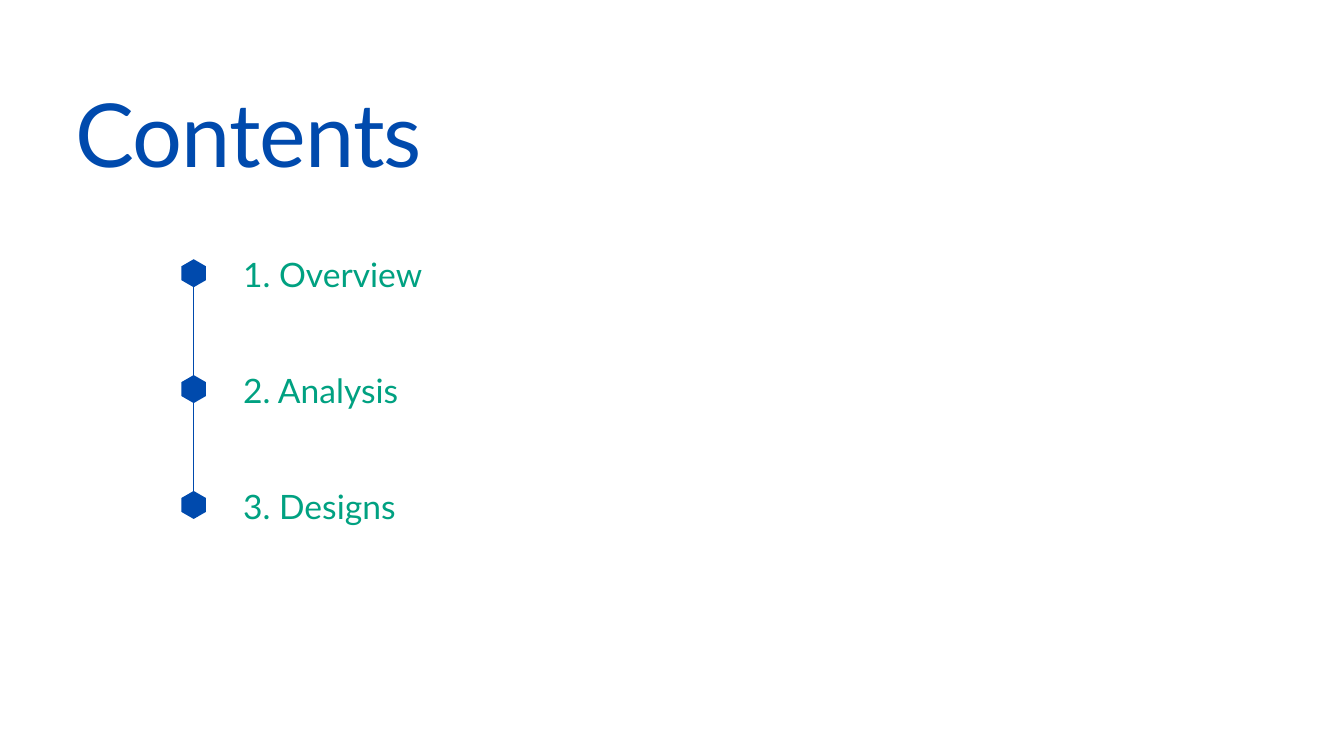
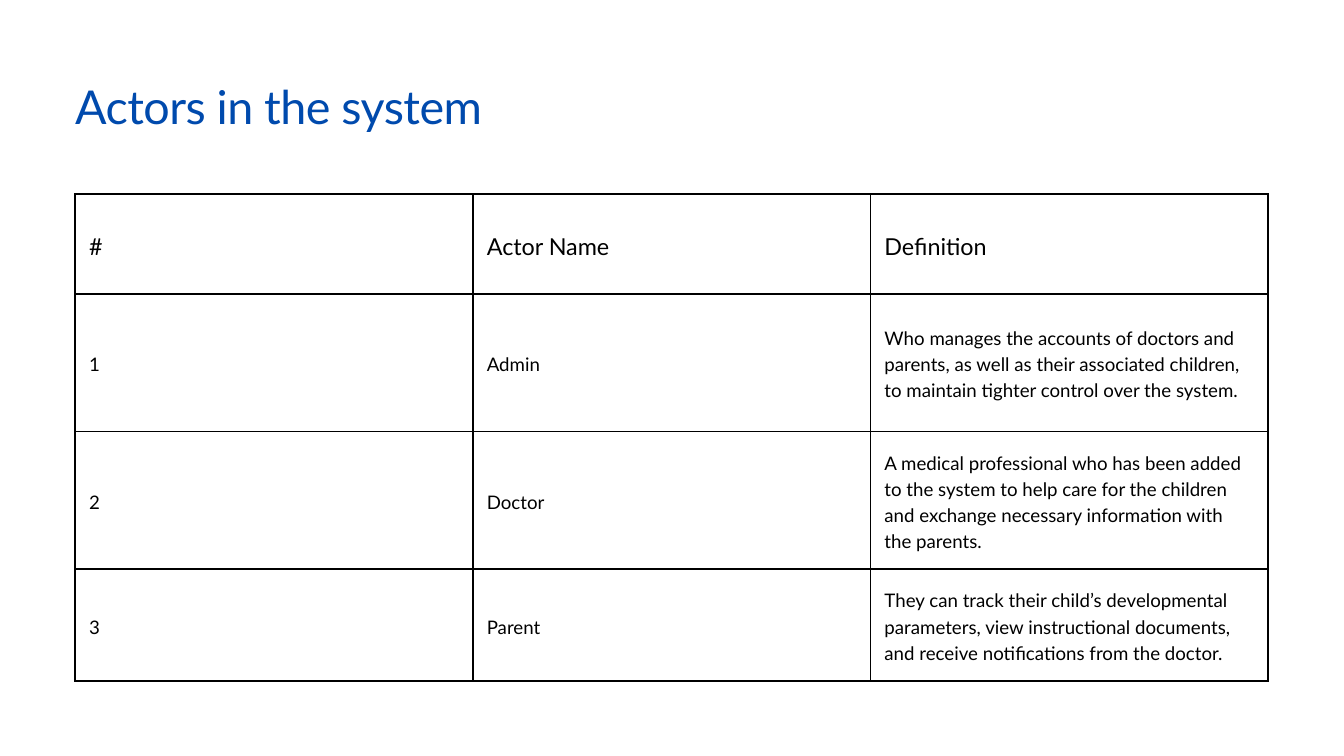
"""Build a contents slide and a table of the actors in the system."""
from lxml.etree import SubElement
from pptx import Presentation
from pptx.dml.color import RGBColor
from pptx.enum.shapes import MSO_CONNECTOR
from pptx.enum.text import MSO_ANCHOR
from pptx.oxml.ns import qn
from pptx.util import Cm, Pt

COLORS = {"blue": "004AAD", "green": "00A181", "black": "000000"}
FONT = "Lato"
LEFT = 2.84

CONTENTS = [("1. Overview", 7.16), ("2. Analysis", 6.91), ("3. Designs", 8.46)]
ACTORS = [
    ("#", "Actor Name", "Definition"),
    ("1", "Admin", "Who manages the accounts of doctors and parents, as well as their "
     "associated children, to maintain tighter control over the system."),
    ("2", "Doctor", "A medical professional who has been added to the system to help care "
     "for the children and exchange necessary information with the parents."),
    ("3", "Parent", "They can track their child’s developmental parameters, view "
     "instructional documents, and receive notifications from the doctor."),
]
ROW_HEIGHTS = [3.76, 5.21, 5.21, 4.22]
COLUMN_WIDTH = 15.03
CELL_MARGIN = 0.53

MARKER_X, MARKER_Y, ITEM_STEP = 7.32, 10.33, 4.38
ITEM_LEFT, ITEM_TOP = 9.19, 9.6
HEX_WIDTH, HEX_HEIGHT = 1.06, 0.92
HEX_POINTS = [(0, 0.5), (0.25, 0), (0.75, 0), (1, 0.5), (0.75, 1), (0.25, 1)]


def rgb(name):
    return RGBColor.from_string(COLORS[name])


def write(tf, text, size, color, leading):
    tf.word_wrap = True
    p = tf.paragraphs[0]
    p.text = text
    p.line_spacing = Pt(size * leading)
    p.font.name, p.font.size, p.font.color.rgb = FONT, Pt(size), rgb(color)
    return p


def add_text(s, text, box, size, color, leading):
    tf = s.shapes.add_textbox(*map(Cm, box)).text_frame
    tf.margin_left = tf.margin_right = tf.margin_top = tf.margin_bottom = 0
    return write(tf, text, size, color, leading)


def add_title(s, text, top, width, height, size, spacing):
    p = add_text(s, text, (LEFT, top, width, height), size, "blue", 1.4)
    p.runs[0].font._element.set("spc", str(spacing))


def add_marker(s, y):
    left, top = MARKER_X - HEX_WIDTH / 2, y - HEX_HEIGHT / 2
    points = [(Cm(left + fx * HEX_WIDTH), Cm(top + fy * HEX_HEIGHT)) for fx, fy in HEX_POINTS]
    builder = s.shapes.build_freeform(*points[0])
    builder.add_line_segments(points[1:], close=True)
    sp = builder.convert_to_shape()
    sp.rotation = 90
    sp.shadow.inherit = False
    sp.fill.solid()
    sp.fill.fore_color.rgb = rgb("blue")
    sp.line.fill.background()


def add_contents(s):
    x = Cm(MARKER_X)
    line = s.shapes.add_connector(MSO_CONNECTOR.STRAIGHT, x, Cm(10.85), x, Cm(19.1))
    line.line.color.rgb, line.line.width = rgb("blue"), Pt(1.5)
    SubElement(line._element.spPr, qn("a:effectLst"))
    for i, (text, width) in enumerate(CONTENTS):
        offset = i * ITEM_STEP
        add_marker(s, MARKER_Y + offset)
        add_text(s, text, (ITEM_LEFT, ITEM_TOP + offset, width, 1.47), 36, "green", 1.2)


def add_borders(cell):
    tc_pr = cell._tc.get_or_add_tcPr()
    for side in ("lnL", "lnR", "lnT", "lnB"):
        ln = SubElement(tc_pr, qn(f"a:{side}"), w=str(Pt(2.25)))
        fill = SubElement(ln, qn("a:solidFill"))
        SubElement(fill, qn("a:srgbClr"), val=COLORS["black"])


def add_actors(s):
    columns = len(ACTORS[0])
    box = (LEFT, 7.34, columns * COLUMN_WIDTH, sum(ROW_HEIGHTS))
    table = s.shapes.add_table(len(ACTORS), columns, *map(Cm, box)).table
    table.first_row = table.horz_banding = False
    for column in table.columns:
        column.width = Cm(COLUMN_WIDTH)
    for i, (texts, height) in enumerate(zip(ACTORS, ROW_HEIGHTS)):
        table.rows[i].height = Cm(height)
        for j, text in enumerate(texts):
            cell = table.cell(i, j)
            cell.margin_left = cell.margin_right = Cm(CELL_MARGIN)
            cell.margin_top = cell.margin_bottom = Cm(CELL_MARGIN)
            cell.vertical_anchor = MSO_ANCHOR.MIDDLE
            add_borders(cell)
            cell.fill.background()
            write(cell.text_frame, text, 20 if i else 25, "black", 1.4)


def main():
    prs = Presentation()
    prs.slide_width, prs.slide_height = Cm(50.8), Cm(28.58)
    blank = prs.slide_layouts[6]

    s = prs.slides.add_slide(blank)
    add_title(s, "Contents", 2.34, 14.81, 4.52, 94.5, -100)
    add_contents(s)

    s = prs.slides.add_slide(blank)
    add_actors(s)
    add_title(s, "Actors in the system", 2.59, 16.79, 2.36, 50, -60)

    prs.save("out.pptx")


if __name__ == "__main__":
    main()
